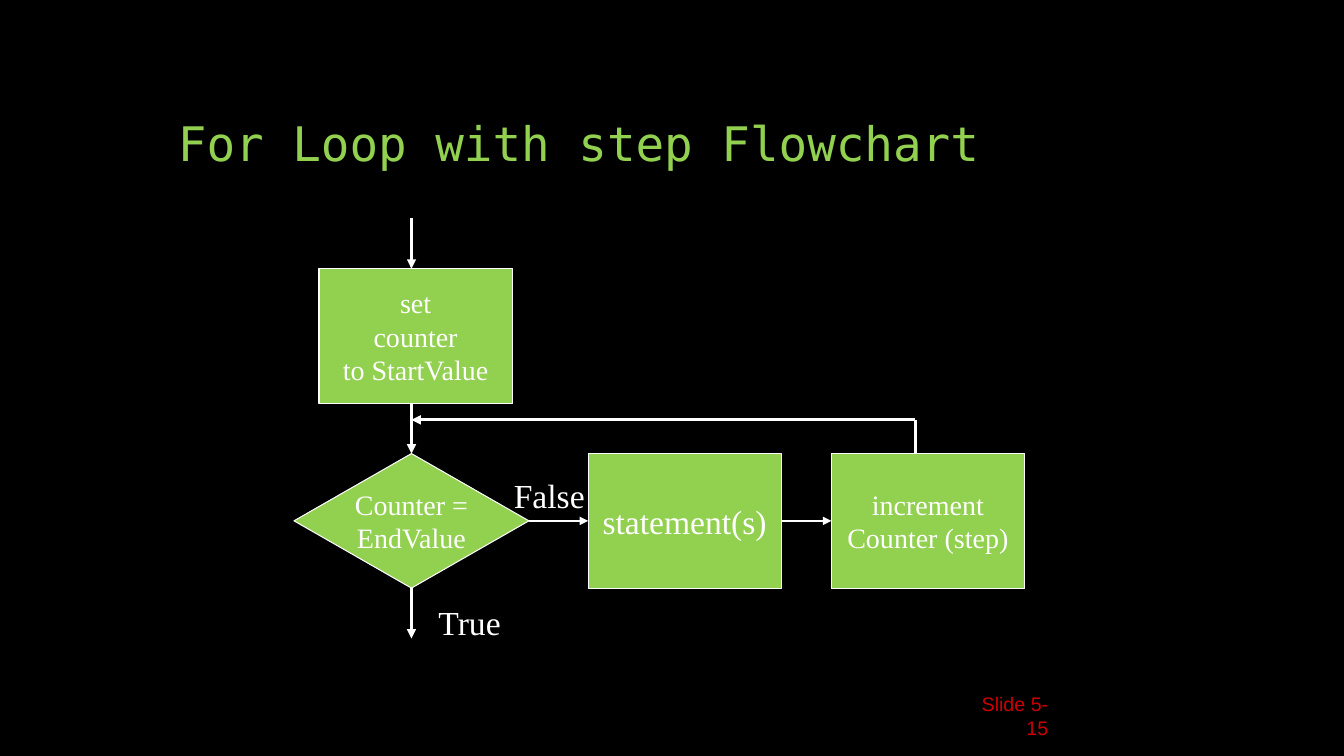
"""Builds a slide with the flowchart of a For loop that has a step."""
from dataclasses import dataclass
from typing import Any, Optional

from lxml import etree
from pptx import Presentation
from pptx import util as u
from pptx.dml.color import RGBColor
from pptx.enum import shapes, text
from pptx.oxml.ns import qn

BLACK, WHITE, GREEN, RED = "000000", "FFFFFF", "92D050", "CC0000"
SERIF = "Times New Roman"
PROCESS = shapes.MSO_SHAPE.FLOWCHART_PROCESS
DECISION = shapes.MSO_SHAPE.FLOWCHART_DECISION
TOP, LEFT, BOTTOM, RIGHT = range(4)

NODE_WIDTH, NODE_HEIGHT = 4.87, 3.39
DECISION_WIDTH = 5.92
START_TOP, LOOP_TOP = 6.77, 11.43
STUB = 1.27
FLOW_X = 10.37
RETURN_X, RETURN_Y = 23.07, 10.58


@dataclass(frozen=True)
class Node:
    """One step of the flowchart."""
    wording: str
    left: float
    top: float
    width: float = NODE_WIDTH
    kind: Any = PROCESS
    size: int = 20


@dataclass(frozen=True)
class Link:
    """A straight line, joined to nodes where sides are named."""
    start: tuple[float, float]
    end: tuple[float, float]
    width: float = 2.25
    arrow: bool = True
    source: Optional[tuple[str, int]] = None
    target: Optional[tuple[str, int]] = None


@dataclass(frozen=True)
class Label:
    """The outcome written beside a branch."""
    wording: str
    left: float
    top: float
    width: float


MIDDLE_Y = LOOP_TOP + NODE_HEIGHT / 2
STATEMENTS_LEFT, INCREMENT_LEFT = 14.82, 20.95

NODES = {
    "start": Node("set\ncounter\nto StartValue", 8.04, START_TOP),
    "test": Node("Counter =\nEndValue", FLOW_X - DECISION_WIDTH / 2, LOOP_TOP,
                 DECISION_WIDTH, DECISION),
    "statements": Node("statement(s)", STATEMENTS_LEFT, LOOP_TOP, size=24),
    "increment": Node("increment\nCounter (step)", INCREMENT_LEFT, LOOP_TOP),
}

LINKS = [
    Link((FLOW_X, START_TOP - STUB), (FLOW_X, START_TOP)),
    Link((FLOW_X, LOOP_TOP - STUB), (FLOW_X, LOOP_TOP), target=("test", TOP)),
    Link((FLOW_X, LOOP_TOP + NODE_HEIGHT), (FLOW_X, LOOP_TOP + NODE_HEIGHT + STUB),
         source=("test", BOTTOM)),
    Link((FLOW_X + DECISION_WIDTH / 2, MIDDLE_Y), (STATEMENTS_LEFT, MIDDLE_Y), 1.5,
         source=("test", RIGHT), target=("statements", LEFT)),
    Link((STATEMENTS_LEFT + NODE_WIDTH, MIDDLE_Y), (INCREMENT_LEFT, MIDDLE_Y), 1.5,
         source=("statements", RIGHT), target=("increment", LEFT)),
    Link((RETURN_X, RETURN_Y), (RETURN_X, LOOP_TOP), arrow=False),
    Link((RETURN_X, RETURN_Y), (FLOW_X, RETURN_Y)),
]

LABELS = [Label("False", 12.7, 11.85, 2.29), Label("True", 10.8, 15.03, 2.11)]


def colour(value: str) -> RGBColor:
    """Turn a hex string into a colour."""
    return RGBColor.from_string(value)


def write(frame: Any, wording: str, *, size: float, font: str = SERIF,
          ink: str = WHITE, align: Any = text.PP_ALIGN.LEFT,
          anchor: Any = text.MSO_ANCHOR.TOP, wrap: bool = False,
          spacing: Optional[float] = None) -> None:
    """Fill a text frame, one paragraph per line of wording."""
    frame.text = wording
    frame.auto_size = text.MSO_AUTO_SIZE.NONE
    frame.word_wrap = wrap
    frame.vertical_anchor = anchor
    for paragraph in frame.paragraphs:
        paragraph.alignment = align
        paragraph.line_spacing = spacing
        for run in paragraph.runs:
            run.font.size = u.Pt(size)
            run.font.name = font
            run.font.color.rgb = colour(ink)


def draw_node(slide: Any, node: Node) -> Any:
    """Draw a step and return its shape."""
    step = slide.shapes.add_shape(
        node.kind, u.Cm(node.left), u.Cm(node.top), u.Cm(node.width), u.Cm(NODE_HEIGHT))
    step.shadow.inherit = False
    step.fill.solid()
    step.fill.fore_color.rgb = colour(GREEN)
    step.line.color.rgb = colour(WHITE)
    step.line.width = u.Pt(0.75)
    write(step.text_frame, node.wording, size=node.size,
          align=text.PP_ALIGN.CENTER, anchor=text.MSO_ANCHOR.MIDDLE)
    return step


def draw_link(slide: Any, link: Link, steps: dict[str, Any]) -> None:
    """Draw a line and join it to its steps."""
    flow = slide.shapes.add_connector(
        shapes.MSO_CONNECTOR.STRAIGHT, *map(u.Cm, link.start + link.end))
    if link.source:
        name, side = link.source
        flow.begin_connect(steps[name], side)
    if link.target:
        name, side = link.target
        flow.end_connect(steps[name], side)
    flow.line.color.rgb = colour(WHITE)
    flow.line.width = u.Pt(link.width)
    if link.arrow:
        etree.SubElement(flow.line._get_or_add_ln(), qn("a:tailEnd"), type="triangle")
    etree.SubElement(flow._element.spPr, qn("a:effectLst"))


def draw_label(slide: Any, label: Label) -> None:
    """Write the outcome of a branch."""
    outcome = slide.shapes.add_textbox(
        u.Cm(label.left), u.Cm(label.top), u.Cm(label.width), u.Cm(1.27))
    write(outcome.text_frame, label.wording, size=24)


def main() -> None:
    """Build and save the slide."""
    deck = Presentation()
    deck.slide_width, deck.slide_height = u.Cm(33.87), u.Cm(19.05)
    slide = deck.slides.add_slide(deck.slide_layouts[5])
    slide.background.fill.solid()
    slide.background.fill.fore_color.rgb = colour(BLACK)

    heading = slide.shapes.title
    heading.left, heading.top = u.Cm(4.23), u.Cm(1.27)
    heading.width, heading.height = u.Cm(25.4), u.Cm(3.18)
    write(heading.text_frame, "For Loop with step Flowchart", size=34,
          font="DejaVu Sans Mono", ink=GREEN, anchor=text.MSO_ANCHOR.BOTTOM,
          wrap=True, spacing=0.9)

    page = slide.shapes.add_textbox(u.Cm(23.93), u.Cm(17.68), u.Cm(2.74), u.Cm(0.71))
    write(page.text_frame, "Slide 5- 15", size=14, font="Arial", ink=RED,
          align=text.PP_ALIGN.RIGHT, anchor=text.MSO_ANCHOR.MIDDLE, wrap=True)

    steps = {name: draw_node(slide, node) for name, node in NODES.items()}
    for link in LINKS:
        draw_link(slide, link, steps)
    for label in LABELS:
        draw_label(slide, label)
    deck.save("out.pptx")


if __name__ == "__main__":
    main()
